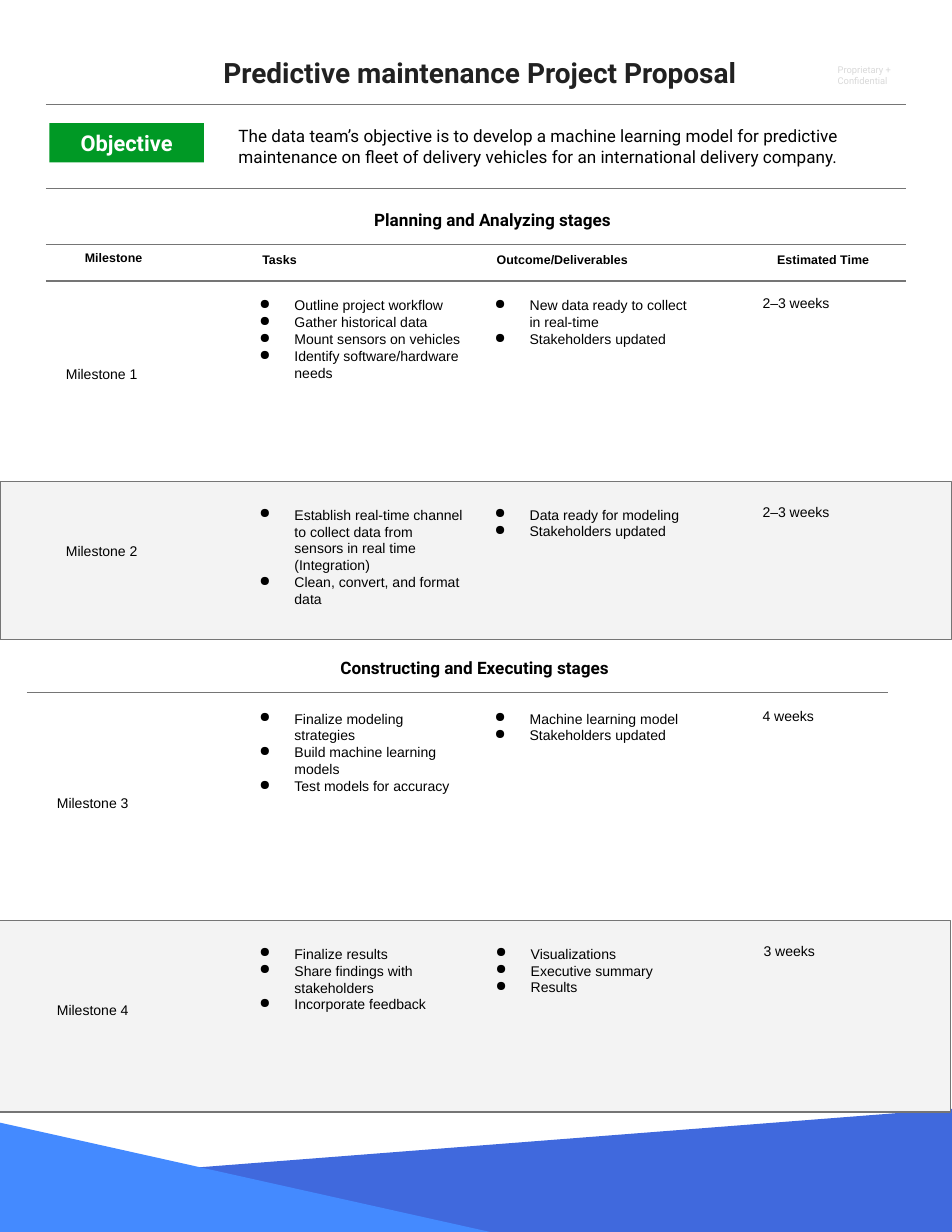
from dataclasses import dataclass
from typing import Optional

from lxml import etree
from pptx import Presentation
from pptx.dml.color import RGBColor
from pptx.enum import shapes, text
from pptx.oxml.ns import qn
from pptx.util import Pt

COLORS = {
    "ink": "000000", "title": "212121", "faint": "D9D9D9", "white": "FFFFFF",
    "rule": "757575", "band": "F3F3F3", "green": "009925",
    "royal": "4069DD", "sky": "448AFF",
}
CENTER = text.PP_ALIGN.CENTER
LEFT = text.PP_ALIGN.LEFT
LINE_HEIGHT = 24.5


@dataclass
class Box:
    left: float
    top: float
    width: float
    height: float


@dataclass
class Style:
    size: float
    font: str = "Arial"
    color: str = "ink"
    bold: bool = False
    align: text.PP_ALIGN = LEFT
    spacing: Optional[float] = None
    bullets: bool = False
    grow: bool = False


@dataclass
class Milestone:
    name: str
    label_left: float
    label_top: float
    top: float
    tasks: list[str]
    tasks_height: float
    outcomes: list[str]
    outcomes_height: float
    time: str
    shift: float = 0
    band: Optional[Box] = None


HEADING = Style(11, "Roboto", bold=True, align=CENTER)
COLUMN = Style(8, bold=True, align=CENTER, grow=True)
BODY = Style(9, grow=True)
BULLETED = Style(9, bullets=True, grow=True)

COLUMNS = [
    ("Milestone", Box(39.6, 156.2, 67, LINE_HEIGHT)),
    ("Tasks", Box(146.2, 157, 67, LINE_HEIGHT)),
    ("Outcome/Deliverables", Box(311.8, 157, 99.4, LINE_HEIGHT)),
    ("Estimated Time", Box(479.5, 157, 99.4, LINE_HEIGHT)),
]

MILESTONES = [
    Milestone("Milestone 1", 35.3, 229.7, 183.6,
              ["Outline project workflow", "Gather historical data",
               "Mount sensors on vehicles", "Identify software/hardware needs"], 79.9,
              ["New data ready to collect in real-time", "Stakeholders updated"], 58.3,
              "2–3 weeks"),
    Milestone("Milestone 2", 35.3, 343.4, 318.2,
              ["Establish real-time channel to collect data from sensors in real time "
               "(Integration)", "Clean, convert, and format data"], 79.9,
              ["Data ready for modeling", "Stakeholders updated"], 36,
              "2–3 weeks", band=Box(0, 309.6, 612, 101.5)),
    Milestone("Milestone 3", 29.5, 505.4, 449.3,
              ["Finalize modeling strategies", "Build machine learning models",
               "Test models for accuracy"], 69.1,
              ["Machine learning model", "Stakeholders updated"], 36,
              "4 weeks"),
    Milestone("Milestone 4", 29.5, 638.6, 600.5,
              ["Finalize results", "Share findings with stakeholders",
               "Incorporate feedback"], 58.3,
              ["Visualizations", "Executive summary", "Results"], 47.5,
              "3 weeks", shift=0.7, band=Box(-0.7, 591.8, 612, 123.1)),
]


def rgb(name: str) -> RGBColor:
    return RGBColor.from_string(COLORS[name])


def place(box: Box) -> tuple:
    return Pt(box.left), Pt(box.top), Pt(box.width), Pt(box.height)


def add_bullet(paragraph) -> None:
    props = paragraph._p.get_or_add_pPr()
    props.set("marL", str(Pt(36)))
    props.set("indent", str(Pt(-22.5)))
    color = etree.SubElement(props, qn("a:buClr"))
    etree.SubElement(color, qn("a:srgbClr"), val=COLORS["ink"])
    etree.SubElement(props, qn("a:buChar"), char="●")


def write(frame, lines: list[str], style: Style, inset: float = 7.2) -> None:
    frame.word_wrap = True
    frame.margin_left = frame.margin_right = Pt(inset)
    frame.margin_top = frame.margin_bottom = Pt(inset)
    if style.grow:
        frame.auto_size = text.MSO_AUTO_SIZE.SHAPE_TO_FIT_TEXT
    for index, line in enumerate(lines):
        paragraph = frame.add_paragraph() if index else frame.paragraphs[0]
        paragraph.text = line
        paragraph.alignment = style.align
        if style.spacing:
            paragraph.line_spacing = style.spacing
        if style.bullets:
            add_bullet(paragraph)
        font = paragraph.font
        font.name, font.size, font.bold = style.font, Pt(style.size), style.bold
        font.color.rgb = rgb(style.color)


def add_text(slide, box: Box, lines: list[str], style: Style) -> None:
    write(slide.shapes.add_textbox(*place(box)).text_frame, lines, style)


def paint(shape, fill: str, line: Optional[str] = None) -> None:
    shape.shadow.inherit = False
    shape.fill.solid()
    shape.fill.fore_color.rgb = rgb(fill)
    if line:
        shape.line.color.rgb = rgb(line)
        shape.line.width = Pt(0.75)
    else:
        shape.line.fill.background()


def add_rect(slide, box: Box, fill: str, line: Optional[str] = None):
    rect = slide.shapes.add_shape(shapes.MSO_SHAPE.RECTANGLE, *place(box))
    paint(rect, fill, line)
    return rect


def add_rule(slide, left: float, right: float, y: float) -> None:
    rule = slide.shapes.add_connector(
        shapes.MSO_CONNECTOR.STRAIGHT, Pt(left), Pt(y), Pt(right), Pt(y))
    rule.line.color.rgb = rgb("rule")
    rule.line.width = Pt(0.75)
    etree.SubElement(rule._element.spPr, qn("a:effectLst"))


def add_polygon(slide, points: list[tuple[float, float]], fill: str) -> None:
    corners = [(Pt(x), Pt(y)) for x, y in points]
    builder = slide.shapes.build_freeform(*corners[0])
    builder.add_line_segments(corners[1:], close=True)
    paint(builder.convert_to_shape(), fill)


def add_milestone(slide, item: Milestone) -> None:
    if item.band:
        add_rect(slide, item.band, "band", "rule")
    add_text(slide, Box(item.label_left, item.label_top, 74.9, 25.2), [item.name], BODY)
    add_text(slide, Box(146.2, item.top, 159.8, item.tasks_height), item.tasks, BULLETED)
    add_text(slide, Box(297.4 + item.shift, item.top, 159.8, item.outcomes_height),
             item.outcomes, BULLETED)
    add_text(slide, Box(483.1 + item.shift, item.top, 99.4, 25.2), [item.time], BODY)


def main() -> None:
    deck = Presentation()
    deck.slide_width, deck.slide_height = Pt(612), Pt(792)
    slide = deck.slides.add_slide(deck.slide_layouts[6])

    # Footer decoration
    add_polygon(slide, [(613.4, 797), (612.7, 712.8), (1.4, 760.3), (2.2, 792)], "royal")
    add_polygon(slide, [(318.2, 792.7), (-1.4, 721.4), (-0.7, 794.9)], "sky")

    # Title and confidentiality label
    add_text(slide, Box(531.4, 33.8, 80.6, 46.8), ["Proprietary + Confidential"],
             Style(6, "Roboto", "faint"))
    add_text(slide, Box(87.1, 30.2, 442.8, 51.1), ["Predictive maintenance Project Proposal"],
             Style(18, "Roboto", "title", True, CENTER, 0.95))

    # Objective
    objective = add_rect(slide, Box(31.7, 79.2, 99.4, 25.2), "green")
    write(objective.text_frame, ["Objective"],
          Style(14, "Roboto", "white", True, CENTER), inset=5)
    objective.text_frame.vertical_anchor = text.MSO_ANCHOR.MIDDLE
    add_text(slide, Box(146.2, 73.4, 436.3, 37.4),
             ["The data team’s objective is to develop a machine learning model for "
              "predictive maintenance on fleet of delivery vehicles for an "
              "international delivery company."], Style(11, "Roboto"))

    # Rules, stage headings and column headers
    for y in (67, 121, 157, 180.7):
        add_rule(slide, 29.5, 582.5, y)
    add_rule(slide, 17.3, 571, 445)
    add_text(slide, Box(192.2, 128.2, 249.1, 29.5), ["Planning and Analyzing stages"], HEADING)
    add_text(slide, Box(180.7, 416.2, 249.1, 29.5),
             ["Constructing and Executing stages"], HEADING)
    for header, box in COLUMNS:
        add_text(slide, box, [header], COLUMN)

    # Milestone rows
    for item in MILESTONES:
        add_milestone(slide, item)

    deck.save("out.pptx")


if __name__ == "__main__":
    main()
